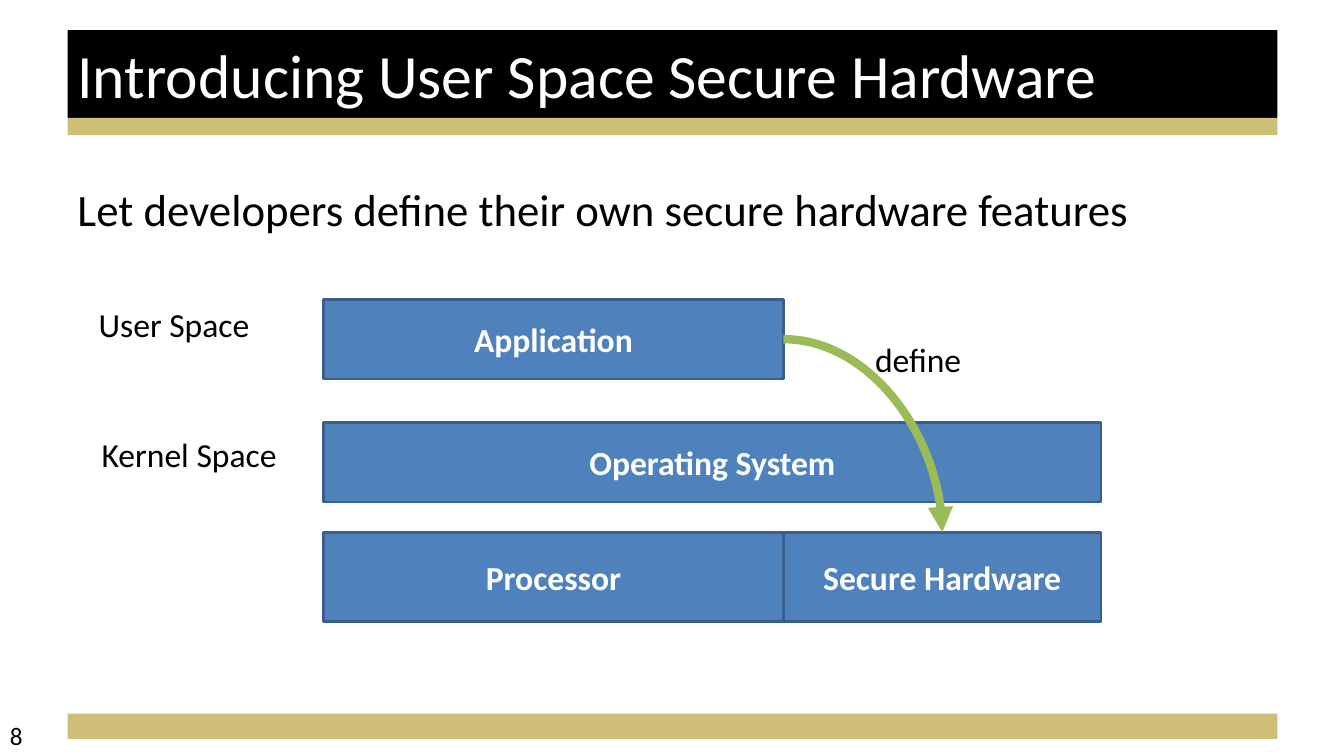
from dataclasses import dataclass

from lxml import etree
from pptx import Presentation
from pptx.dml.color import RGBColor
from pptx.enum.shapes import MSO_CONNECTOR, MSO_SHAPE
from pptx.enum.text import MSO_ANCHOR, PP_ALIGN
from pptx.oxml.ns import qn
from pptx.util import Inches, Pt

RECT = MSO_SHAPE.RECTANGLE
CURVE = MSO_CONNECTOR.CURVE
TOP, MIDDLE = MSO_ANCHOR.TOP, MSO_ANCHOR.MIDDLE
LEFT, CENTER = PP_ALIGN.LEFT, PP_ALIGN.CENTER
TOP_SITE, RIGHT_SITE = 0, 3


@dataclass(frozen=True)
class Theme:
    font: str = "Calibri"
    black: RGBColor = RGBColor(0, 0, 0)
    white: RGBColor = RGBColor(255, 255, 255)
    gold: RGBColor = RGBColor(0xCD, 0xBF, 0x78)
    blue: RGBColor = RGBColor(0x4F, 0x81, 0xBD)
    outline: RGBColor = RGBColor(0x3A, 0x5F, 0x8C)
    green: RGBColor = RGBColor(0x9B, 0xBB, 0x59)
    title: int = 44
    body: int = 32
    label: int = 24
    number: int = 18


class SlideBuilder:
    def __init__(self, slide, theme):
        self.slide = slide
        self.theme = theme

    def set_text(self, s, text, size, color, anchor=TOP, align=LEFT,
                 bold=False):
        tf = s.text_frame
        tf.word_wrap = True
        tf.vertical_anchor = anchor
        p = tf.paragraphs[0]
        p.text = text
        p.alignment = align
        p.font.name = self.theme.font
        p.font.size = Pt(size)
        p.font.bold = bold
        p.font.color.rgb = color

    def band(self, x, y, w, h, color):
        s = self.slide.shapes.add_shape(
            RECT, Inches(x), Inches(y), Inches(w), Inches(h))
        s.shadow.inherit = False
        s.fill.solid()
        s.fill.fore_color.rgb = color
        s.line.fill.background()
        return s

    def layer(self, x, y, w, h, text):
        """Draw one outlined, labelled block of the system stack."""
        s = self.band(x, y, w, h, self.theme.blue)
        s.line.color.rgb = self.theme.outline
        s.line.width = Pt(2)
        self.set_text(s, text, self.theme.label, self.theme.white,
                      MIDDLE, CENTER, True)
        return s

    def text(self, x, y, w, h, text, size, color=None, anchor=TOP):
        s = self.slide.shapes.add_textbox(
            Inches(x), Inches(y), Inches(w), Inches(h))
        self.set_text(s, text, size, color or self.theme.black, anchor)

    def curved_arrow(self, start, end):
        """Curve from the right side of start to the top of end."""
        s = self.slide.shapes.add_connector(CURVE, 0, 0, 0, 0)
        s.begin_connect(start, RIGHT_SITE)
        s.end_connect(end, TOP_SITE)
        s.line.color.rgb = self.theme.green
        s.line.width = Pt(6)
        sp = s._element.spPr
        sp.find(qn("a:prstGeom")).set("prst", "curvedConnector2")
        etree.SubElement(sp.find(qn("a:ln")), qn("a:tailEnd"), type="triangle")
        etree.SubElement(sp, qn("a:effectLst"))


def main():
    prs = Presentation()
    prs.slide_width, prs.slide_height = Inches(13.33), Inches(7.5)
    theme = Theme()
    b = SlideBuilder(prs.slides.add_slide(prs.slide_layouts[6]), theme)

    margin, band_w = 0.67, 12
    for y, h, color in ((7.08, 0.25, theme.gold), (0.3, 0.87, theme.black),
                        (1.17, 0.17, theme.gold)):
        b.band(margin, y, band_w, h, color)

    b.text(margin, 1.75, 11.83, 0.8,
           "Let developers define their own secure hardware features",
           theme.body)
    b.text(margin, 0.3, band_w, 0.87, "Introducing User Space Secure Hardware",
           theme.title, theme.white, MIDDLE)
    b.text(0, 7.1, 3.11, 0.4, "8", theme.number)

    stack_x, main_w, secure_w = 3.21, 4.56, 3.15
    app_y, os_y, chip_y = 2.97, 4.19, 5.28
    layer_h, chip_h = 0.79, 0.89
    b.layer(stack_x, chip_y, main_w, chip_h, "Processor")
    b.layer(stack_x, os_y, main_w + secure_w, layer_h, "Operating System")
    app = b.layer(stack_x, app_y, main_w, layer_h, "Application")
    secure = b.layer(stack_x + main_w, chip_y, secure_w, chip_h,
                     "Secure Hardware")
    b.curved_arrow(app, secure)

    for x, y, w, label in ((8.58, 3.31, 1.39, "define"),
                           (0.88, app_y, 2.33, "User Space"),
                           (0.91, 4.26, 2.33, "Kernel Space")):
        b.text(x, y, w, 0.6, label, theme.label)

    prs.save("out.pptx")


if __name__ == "__main__":
    main()
